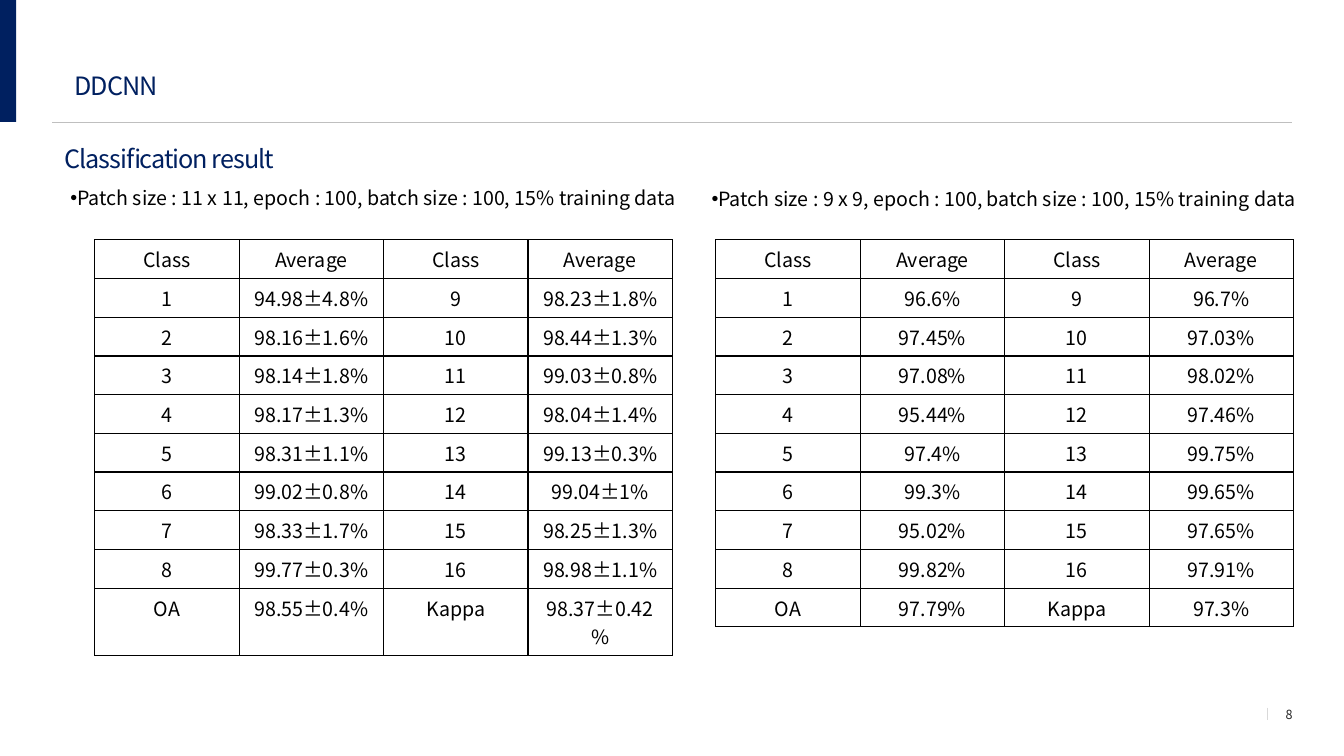
from dataclasses import dataclass

from lxml.etree import SubElement
from pptx import Presentation
from pptx.dml.color import RGBColor
from pptx.enum.shapes import MSO_CONNECTOR, MSO_SHAPE
from pptx.enum.text import MSO_ANCHOR, MSO_AUTO_SIZE, PP_ALIGN
from pptx.oxml.ns import qn
from pptx.util import Pt

PX = 9144  # 100 px to the inch

TITLE = "DDCNN"
SUBTITLE = "Classification result"
PAGE = "8"
HEADER = ("Class", "Average", "Class", "Average")
SUMMARY = ("OA", "Kappa")
RESULTS = [
    {
        "setup": "Patch size : 11 x 11, epoch : 100, batch size : 100, 15% training data",
        "setup_at": (60, 182, 622, 32),
        "table_at": (94, 238, 573, 344),
        "classes": [
            "94.98±4.8%", "98.16±1.6%", "98.14±1.8%", "98.17±1.3%",
            "98.31±1.1%", "99.02±0.8%", "98.33±1.7%", "99.77±0.3%",
            "98.23±1.8%", "98.44±1.3%", "99.03±0.8%", "98.04±1.4%",
            "99.13±0.3%", "99.04±1%", "98.25±1.3%", "98.98±1.1%",
        ],
        "summary": ("98.55±0.4%", "98.37±0.42%"),
    },
    {
        "setup": "Patch size : 9 x 9, epoch : 100, batch size : 100, 15% training data",
        "setup_at": (696, 183, 622, 32),
        "table_at": (710, 238, 573, 344),
        "classes": [
            "96.6%", "97.45%", "97.08%", "95.44%",
            "97.4%", "99.3%", "95.02%", "99.82%",
            "96.7%", "97.03%", "98.02%", "97.46%",
            "99.75%", "99.65%", "97.65%", "97.91%",
        ],
        "summary": ("97.79%", "97.3%"),
    },
]


@dataclass(frozen=True)
class Theme:
    font: str = "Noto Sans CJK KR"
    navy: str = "002060"
    black: str = "000000"
    page_grey: str = "262626"
    rule: str = "BFBFBF"
    page_rule: str = "D9D9D9"
    heading: int = 18
    body: int = 14
    page: int = 9


THEME = Theme()


def emu(lengths):
    return [length * PX for length in lengths]


def write(frame, text, size=THEME.body, color=THEME.black, align=PP_ALIGN.LEFT,
          tracking=0, bullet=False):
    paragraph = frame.paragraphs[0]
    paragraph.alignment = align
    run = paragraph.add_run()
    run.text = text
    run.font.size = Pt(size)
    run.font.bold = False
    run.font.name = THEME.font
    run.font.color.rgb = RGBColor.from_string(color)
    props = run.font._element
    SubElement(props, qn("a:ea")).set("typeface", THEME.font)
    if tracking:
        props.set("spc", str(tracking))
    if bullet:
        paragraph.line_spacing = 0.9
        paragraph.space_after = Pt(6)
        layout = paragraph._p.get_or_add_pPr()
        layout.set("marL", "0")
        layout.set("indent", str(-25 * PX))
        SubElement(layout, qn("a:buFont")).set("typeface", "Arial")
        SubElement(layout, qn("a:buChar")).set("char", "•")


def set_frame(shape, box, anchor=MSO_ANCHOR.MIDDLE, wrap=False, margins=(0, 0)):
    """Place a text shape and return its text frame; margins are (sides, top and bottom)."""
    shape.left, shape.top, shape.width, shape.height = emu(box)
    frame = shape.text_frame
    frame.auto_size = MSO_AUTO_SIZE.NONE
    frame.word_wrap = wrap
    frame.vertical_anchor = anchor
    frame.margin_left = frame.margin_right = margins[0] * PX
    frame.margin_top = frame.margin_bottom = margins[1] * PX
    return frame


def add_rule(slide, ends, color):
    rule = slide.shapes.add_connector(MSO_CONNECTOR.STRAIGHT, *emu(ends))
    rule.line.color.rgb = RGBColor.from_string(color)
    rule.line.width = Pt(0.5)
    SubElement(rule._element.spPr, qn("a:effectLst"))


def outline(cell):
    props = cell._tc.get_or_add_tcPr()
    for side in ("lnL", "lnR", "lnT", "lnB"):
        border = SubElement(props, qn(f"a:{side}"), w=str(Pt(1)))
        fill = SubElement(border, qn("a:solidFill"))
        SubElement(fill, qn("a:srgbClr")).set("val", THEME.black)
    cell.fill.background()


def result_rows(result):
    """Put the first half of the classes beside the second half."""
    values = result["classes"]
    half = len(values) // 2
    rows = [HEADER]
    for i in range(half):
        rows.append((str(i + 1), values[i], str(i + 1 + half), values[i + half]))
    (oa, kappa), (oa_value, kappa_value) = SUMMARY, result["summary"]
    return rows + [(oa, oa_value, kappa, kappa_value)]


def add_results(slide, result):
    rows = result_rows(result)
    table = slide.shapes.add_table(len(rows), len(HEADER), *emu(result["table_at"])).table
    table.first_row = table.horz_banding = False
    for r, row in enumerate(rows):
        for c, text in enumerate(row):
            cell = table.cell(r, c)
            write(cell.text_frame, text, align=PP_ALIGN.CENTER)
            outline(cell)


def main():
    deck = Presentation()
    deck.slide_width, deck.slide_height = emu((1333, 750))
    slide = deck.slides.add_slide(deck.slide_layouts[5])
    shapes = slide.shapes

    bar = shapes.add_shape(MSO_SHAPE.RECTANGLE, *emu((0, 0, 16, 121)))
    bar.shadow.inherit = False
    bar.fill.solid()
    bar.fill.fore_color.rgb = RGBColor.from_string(THEME.navy)
    bar.line.fill.background()
    add_rule(slide, (52, 121, 1281, 121), THEME.rule)
    add_rule(slide, (1257, 702, 1257, 714), THEME.page_rule)

    heading = {"size": THEME.heading, "color": THEME.navy, "tracking": -70}
    write(set_frame(shapes.title, (74, 70, 85, 30)), TITLE, **heading)
    subtitle = shapes.add_textbox(0, 0, 0, 0)
    write(set_frame(subtitle, (64, 142, 222, 30)), SUBTITLE, **heading)

    for result in RESULTS:
        setup = shapes.add_textbox(0, 0, 0, 0)
        frame = set_frame(setup, result["setup_at"], MSO_ANCHOR.TOP, True, (10, 5))
        write(frame, result["setup"], bullet=True)
        add_results(slide, result)

    page = shapes.add_textbox(0, 0, 0, 0)
    write(set_frame(page, (1264, 701, 18, 15)), PAGE, size=THEME.page,
          color=THEME.page_grey, align=PP_ALIGN.RIGHT)

    deck.save("out.pptx")


if __name__ == "__main__":
    main()
